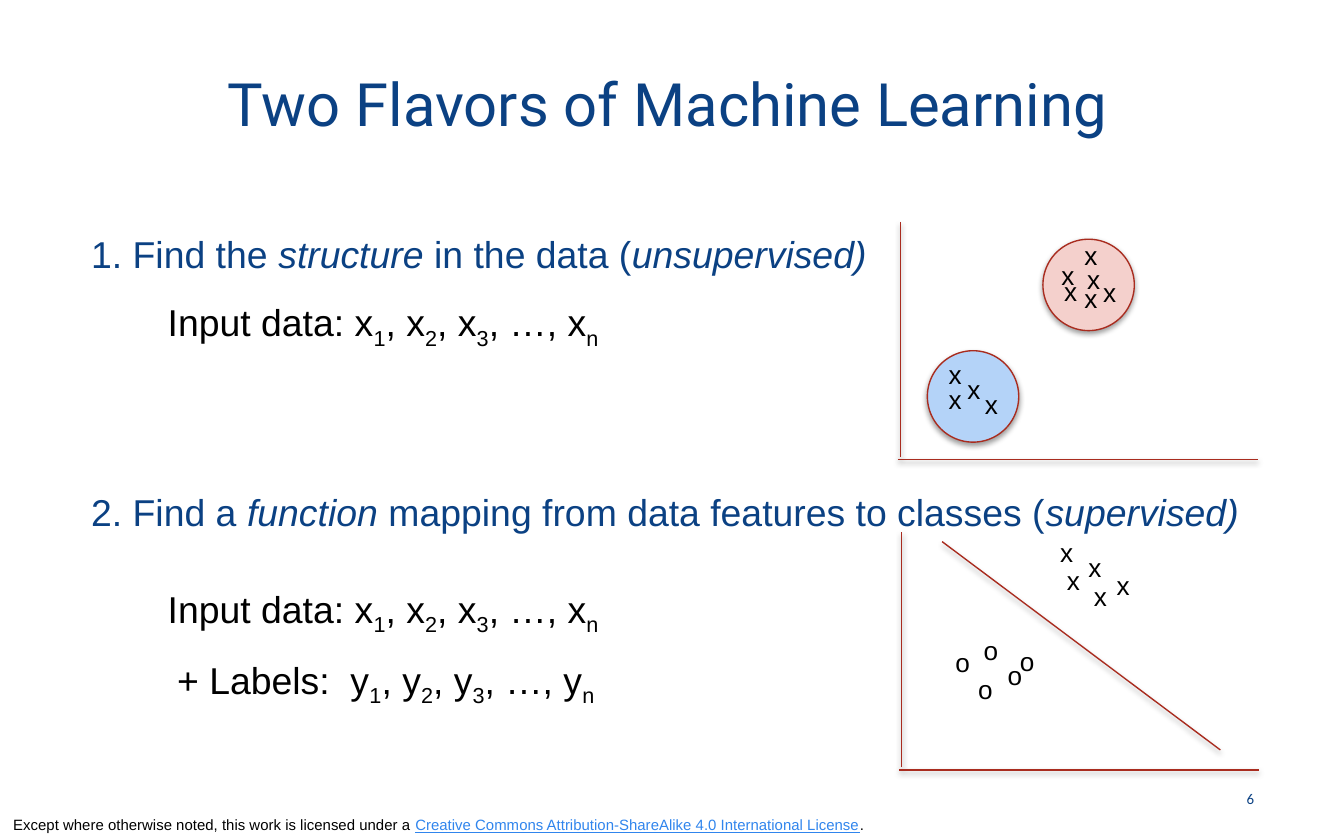
from pptx import Presentation
from pptx.dml.color import RGBColor
from pptx.enum.shapes import MSO_CONNECTOR, MSO_SHAPE
from pptx.enum.text import MSO_ANCHOR, PP_ALIGN
from pptx.oxml import parse_xml
from pptx.oxml.ns import nsdecls
from pptx.util import Inches, Pt

# The slide is a grid of 1000 columns by 625 rows
COLS, ROWS = 1000, 625
UNIT = Inches(10) // COLS

COLORS = {
    "navy": "0B4183",
    "black": "000000",
    "link": "3085ED",
    "red": "A92C1F",
    "blue_fill": "B4D3F8",
    "pink_fill": "F4D0CC",
}

# Left and top of each mark, in columns and rows
PINK_MARKS = [(782, 200), (797, 173), (797, 205), (799, 191), (780, 188), (811, 201)]
BLUE_MARKS = [(696, 280), (696, 262), (710, 273), (723, 284)]
X_CLASS = [(784, 415), (821, 419), (804, 427), (800, 405), (779, 394)]
O_CLASS = [(749, 475), (740, 486), (701, 476), (718, 496), (722, 467)]


def grid(*values):
    return [v * UNIT for v in values]


def color(name):
    return RGBColor.from_string(COLORS[name])


def add_run(p, text, size, fill="navy", font="Arial", italic=None, sub=False):
    r = p.add_run()
    r.text = text
    r.font.name = font
    r.font.size = Pt(size)
    r.font.color.rgb = color(fill)
    r.font.italic = italic
    if sub:
        r._r.get_or_add_rPr().set("baseline", "-25000")
    return r


def add_box(s, box, anchor=MSO_ANCHOR.TOP, wrap=True):
    tf = s.shapes.add_textbox(*grid(*box)).text_frame
    tf.word_wrap = wrap
    tf.vertical_anchor = anchor
    return tf


def style_outline(shape):
    """Thin red line with a soft shadow below."""
    shape.line.color.rgb = color("red")
    shape.line.width = Pt(0.75)
    shape._element.spPr.append(parse_xml(
        f'<a:effectLst {nsdecls("a")}>'
        f'<a:outerShdw blurRad="{Pt(3.1)}" dist="{Pt(1.6)}" dir="5400000" rotWithShape="0">'
        '<a:srgbClr val="000000"><a:alpha val="38000"/></a:srgbClr>'
        '</a:outerShdw></a:effectLst>'))


def add_line(s, *ends):
    style_outline(s.shapes.add_connector(MSO_CONNECTOR.STRAIGHT, *grid(*ends)))


def add_axes(s, x, top, height=175, width=268):
    add_line(s, x, top, x, top + height)
    add_line(s, x - 2, top + height + 2, x - 2 + width, top + height + 2)


def add_cluster(s, x, y, fill, size=68):
    sp = s.shapes.add_shape(MSO_SHAPE.OVAL, *grid(x, y, size, size))
    sp.fill.solid()
    sp.fill.fore_color.rgb = color(fill)
    style_outline(sp)


def add_marks(s, mark, places):
    for x, y in places:
        tf = add_box(s, (x, y, 30, 34))
        add_run(tf.paragraphs[0], mark, 14, "black")


def add_series(s, box, label, symbol):
    """A label followed by symbol 1, 2, 3, …, n with subscripts."""
    p = add_box(s, box, wrap=False).paragraphs[0]
    leads = [label, ", ", ", ", ", …, "]
    for lead, index in zip(leads, "123n"):
        add_run(p, lead + symbol, 20, "black")
        add_run(p, index, 20, "black", sub=True)


def add_headings(s):
    tf = add_box(s, (58, 167, 885, 236))
    headings = [
        ["1. Find the ", "structure", " in the data (", "unsupervised)"],
        ["2. Find a ", "function", " mapping from data features to classes (", "supervised)"],
    ]
    for i, parts in enumerate(headings):
        p = tf.add_paragraph() if i else tf.paragraphs[0]
        if i:
            p.space_before = Pt(114.5)
        for j, part in enumerate(parts):
            add_run(p, part, 20, italic=j % 2 == 1)


def add_title(s, text):
    title = s.shapes.title
    title.left, title.top, title.width, title.height = grid(51, 17, 892, 119)
    tf = title.text_frame
    tf.vertical_anchor = MSO_ANCHOR.MIDDLE
    p = tf.paragraphs[0]
    p.alignment = PP_ALIGN.CENTER
    add_run(p, text, 32, font="Roboto")


def add_footer(s):
    p = add_box(s, (0, 602, 750, 23), MSO_ANCHOR.BOTTOM).paragraphs[0]
    add_run(p, "Except where otherwise noted, this work is licensed under a ", 8, "black")
    r = add_run(p, "Creative Commons Attribution-ShareAlike 4.0 International License", 8, "link")
    r.font.underline = True
    add_run(p, ".", 8, "black")

    p = add_box(s, (898, 578, 45, 33), MSO_ANCHOR.MIDDLE).paragraphs[0]
    p.alignment = PP_ALIGN.RIGHT
    add_run(p, "6", 8, font="Calibri")


def main():
    prs = Presentation()
    prs.slide_width, prs.slide_height = grid(COLS, ROWS)
    s = prs.slides.add_slide(prs.slide_layouts[5])

    # Title, headings and footer
    add_title(s, "Two Flavors of Machine Learning")
    add_footer(s)
    add_headings(s)

    # Unsupervised: two clusters
    add_series(s, (115, 218, 347, 44), "Input data: ", "x")
    add_axes(s, 670, 165)
    add_cluster(s, 690, 261, "blue_fill")
    add_cluster(s, 776, 178, "pink_fill")
    add_marks(s, "x", PINK_MARKS + BLUE_MARKS)

    # Supervised: two classes and the boundary between them
    add_series(s, (115, 431, 347, 44), "Input data: ", "x")
    add_series(s, (122, 484, 337, 44), "+ Labels:  ", "y")
    add_axes(s, 671, 396)
    add_line(s, 908, 558, 701, 403)
    add_marks(s, "x", X_CLASS)
    add_marks(s, "o", O_CLASS)

    prs.save("out.pptx")


if __name__ == "__main__":
    main()
